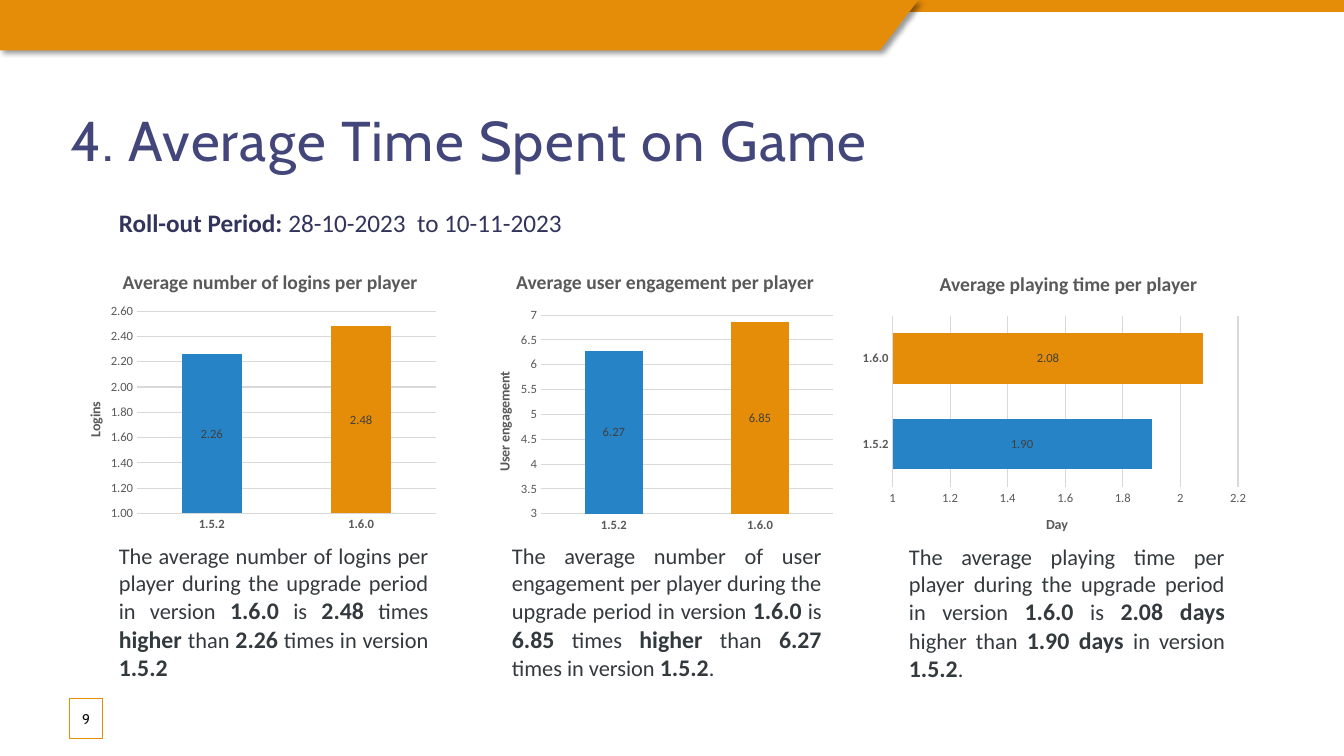
"""Build the slide on average time spent on the game."""
from lxml import etree
from pptx import Presentation
from pptx import util as u
from pptx.chart.data import CategoryChartData
from pptx.dml.color import RGBColor
from pptx.enum import chart as ch, shapes, text
from pptx.oxml import parse_xml
from pptx.oxml.ns import nsdecls, qn

Pt = u.Pt
hue = RGBColor.from_string
blue, gold, grey, pale = "2683C6", "E58C09", "595959", "D9D9D9"
left, mid, just = text.PP_ALIGN.LEFT, text.PP_ALIGN.CENTER, text.PP_ALIGN.JUSTIFY

deck = Presentation()
deck.slide_width, deck.slide_height = Pt(960), Pt(540)
slide = deck.slides.add_slide(deck.slide_layouts[6])


def write(words, box, size=16, big=None, font="Calibri", color="333A3E",
          align=left, bold=False, space=0, anchor=text.MSO_ANCHOR.TOP):
    shape = slide.shapes.add_textbox(*map(Pt, box))
    frame = shape.text_frame
    frame.word_wrap = True
    frame.vertical_anchor = anchor
    para = frame.paragraphs[0]
    para.alignment = align
    for n, part in enumerate(words.split("**")):
        if not part:
            continue
        run = para.add_run()
        run.text = part
        strong = n % 2 == 1
        run.font.name = font
        run.font.size = Pt(big if strong and big else size)
        run.font.bold = bold or strong
        run.font.color.rgb = hue(color)
        if space:
            run.font._element.set("spc", str(space))
    return shape


def place(part, kind, **spots):
    old = part.find(qn("c:layout"))
    if old is not None:
        part.remove(old)
    tags = "".join(f'<c:{k} val="{v}"/>' for k, v in spots.items())
    target = '<c:layoutTarget val="inner"/>' if kind == "plot" else ""
    new = parse_xml(
        f'<c:layout {nsdecls("c")}><c:manualLayout>{target}<c:xMode val="edge"/>'
        f'<c:yMode val="edge"/>{tags}</c:manualLayout></c:layout>')
    part.insert(0 if kind == "plot" else 1, new)


strip = slide.shapes.add_shape(shapes.MSO_SHAPE.RECTANGLE, 0, 0, Pt(960), Pt(8.6))
path = slide.shapes.build_freeform(0, 0)
path.add_line_segments([(Pt(656), 0), (Pt(628.6), Pt(36)), (0, Pt(36))])
banner = path.convert_to_shape()
for bar in (strip, banner):
    bar.shadow.inherit = False
    bar.fill.solid()
    bar.fill.fore_color.rgb = hue(gold)
    bar.line.fill.background()
glow = banner._element.spPr.find(qn("a:effectLst"))
shade = etree.SubElement(glow, qn("a:outerShdw"), blurRad=str(Pt(4)), dist=str(Pt(3)),
                         dir="2700000", algn="tl", rotWithShape="0")
black = etree.SubElement(shade, qn("a:srgbClr"), val="000000")
etree.SubElement(black, qn("a:alpha"), val="40000")

write("4. Average Time Spent on Game", (43.2, 72, 851, 55.4), size=40, font="Cabin",
      color="43467B", space=100, anchor=text.MSO_ANCHOR.MIDDLE)
write("**Roll-out Period: **28-10-2023  to 10-11-2023", (77.8, 144.7, 786, 29),
      size=18, color="32345C")

page = write("9", (49.7, 499, 23.8, 28.8), size=10, font="Cabin", color="0D0D0D",
             align=mid, anchor=text.MSO_ANCHOR.MIDDLE)
page.text_frame.margin_left = page.text_frame.margin_right = 0
page.fill.solid()
page.fill.fore_color.rgb = hue("FFFFFF")
solid = page._element.spPr.find(qn("a:solidFill"))
etree.SubElement(solid[0], qn("a:alpha"), val="82000")
page.line.color.rgb = hue(gold)
page.line.width = Pt(0.75)

column, flat = ch.XL_CHART_TYPE.COLUMN_STACKED, ch.XL_CHART_TYPE.BAR_STACKED
panels = [
    dict(head="Average number of logins per player", top=(72, 189.4, 242, 24.5),
         kind=column, box=(43.2, 213.8, 273.6, 170), vals=(2.26, 2.48),
         span=(1, 2.6, 0.2), form="0.00", gap=150, unit="Logins", spot=(0.06, 0.42),
         plot=(0.2, 0.05, 0.78, 0.85), base=(77.8, 383.8, 235.4, 108),
         note="The average number of logins per player during the upgrade period in "
              "version **1.6.0** is **2.48** times **higher** than **2.26** times in "
              "version **1.5.2**"),
    dict(head="Average user engagement per player", top=(354.2, 189.4, 242, 24.5),
         kind=column, box=(336.2, 216.7, 264.2, 167), vals=(6.27, 6.85),
         span=(3, 7, 0.5), form="General", gap=150, unit="User engagement",
         spot=(0.06, 0.28), plot=(0.19, 0.05, 0.79, 0.85),
         base=(358.6, 383.8, 235.4, 108),
         note="The average number of user engagement per player during the upgrade "
              "period in version **1.6.0** is **6.85** times **higher** than **6.27** "
              "times in version **1.5.2**."),
    dict(head="Average playing time per player", top=(642.2, 190.8, 242, 24.5),
         kind=flat, box=(612, 193.7, 283.7, 190), vals=(1.9, 2.08),
         span=(1, 2.2, 0.2), form="General", gap=70, unit="Day", spot=(0.47, 0.92),
         plot=(0.09, 0.17, 0.87, 0.65), base=(642.2, 384.5, 239.8, 108),
         note="The average playing time per player during the upgrade period in "
              "version **1.6.0** is **2.08 days **higher than **1.90 days **in "
              "version **1.5.2**."),
]

for p in panels:
    data = CategoryChartData()
    data.categories = ["1.5.2", "1.6.0"]
    data.add_series("Series 1", p["vals"])
    chart = slide.shapes.add_chart(p["kind"], *map(Pt, p["box"]), data).chart
    chart.has_legend = chart.has_title = False
    chart.font.name, chart.font.size = "Calibri", Pt(10)
    plot = chart.plots[0]
    plot.gap_width, plot.overlap = p["gap"], 100
    plot.vary_by_categories = False

    row = plot.series[0]
    row.format.fill.solid()
    row.format.fill.fore_color.rgb = hue("43467B")
    for n, tint in enumerate((blue, gold)):
        fill = row.points[n].format.fill
        fill.solid()
        fill.fore_color.rgb = hue(tint)
    tags = row.data_labels
    tags.show_value = True
    tags.position = ch.XL_LABEL_POSITION.CENTER
    tags.number_format, tags.number_format_is_linked = "0.00", False
    tags.font.name, tags.font.size = "Calibri", Pt(9)
    tags.font.color.rgb = hue("404040")

    cats, scale = chart.category_axis, chart.value_axis
    for axis in (cats, scale):
        axis.major_tick_mark = axis.minor_tick_mark = ch.XL_TICK_MARK.NONE
        font = axis.tick_labels.font
        font.name, font.size, font.bold = "Calibri", Pt(9), axis is cats
        font.color.rgb = hue(grey)
    cats.has_major_gridlines = False
    scale.has_major_gridlines = True
    for line in (cats.format.line, scale.major_gridlines.format.line):
        line.color.rgb = hue(pale)
        line.width = Pt(0.75)
    scale.format.line.fill.background()
    scale.minimum_scale, scale.maximum_scale, scale.major_unit = p["span"]
    scale.tick_labels.number_format = p["form"]
    scale.tick_labels.number_format_is_linked = False

    run = scale.axis_title.text_frame.paragraphs[0].add_run()
    run.text = p["unit"]
    run.font.name, run.font.size, run.font.bold = "Calibri", Pt(10), True
    run.font.color.rgb = hue(grey)
    place(scale.axis_title._element, "title", **dict(zip("xy", p["spot"])))
    place(chart._chartSpace.chart.plotArea, "plot", **dict(zip("xywh", p["plot"])))

    write(p["head"], p["top"], size=14, color=grey, align=mid, bold=True)
    write(p["note"], p["base"], big=17, align=just)

deck.save("out.pptx")
